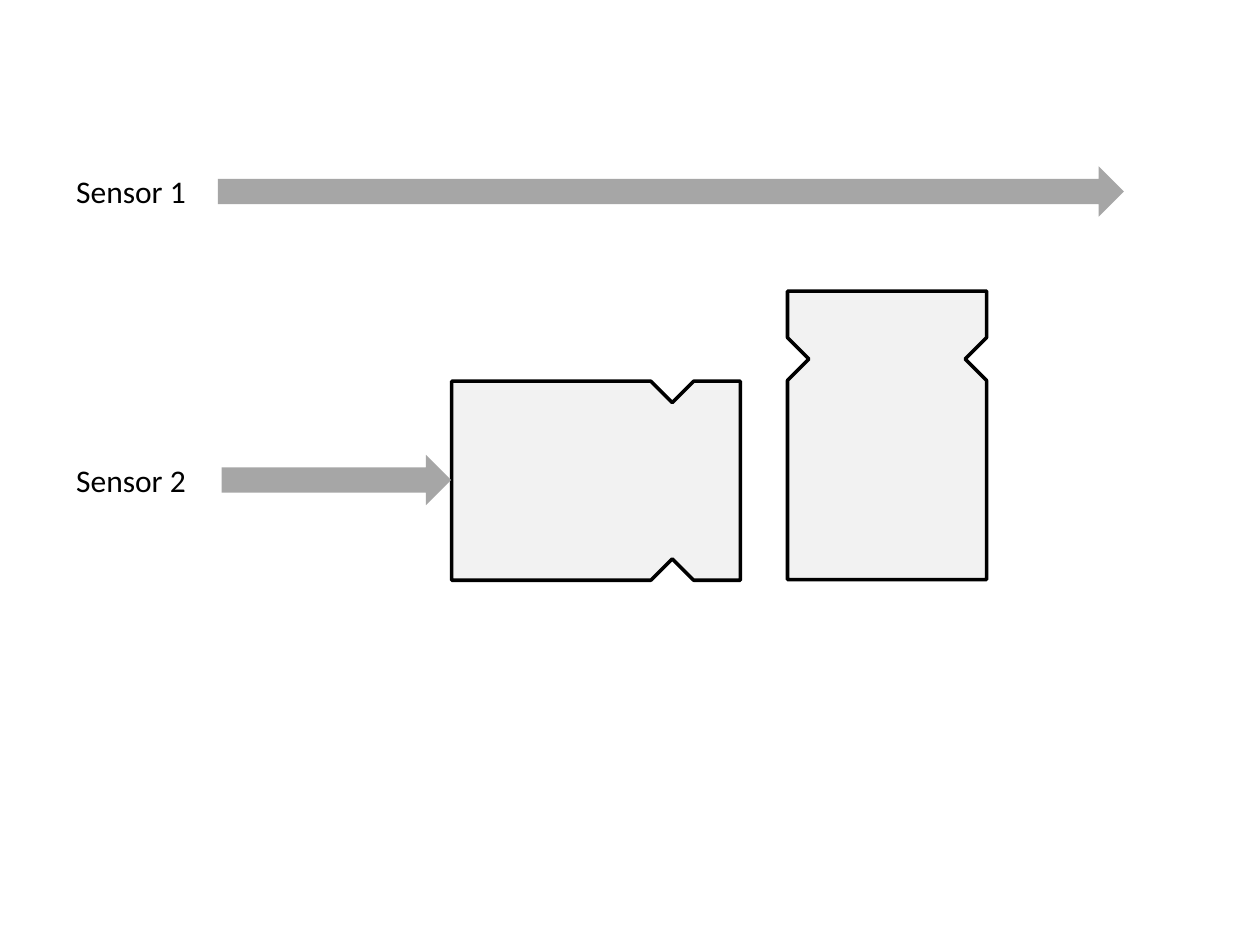
from dataclasses import dataclass

from pptx import Presentation
from pptx.dml.color import RGBColor
from pptx.enum.shapes import MSO_SHAPE
from pptx.enum.text import MSO_AUTO_SIZE, PP_ALIGN
from pptx.util import Inches, Pt

ARROW = MSO_SHAPE.RIGHT_ARROW
CENTER = PP_ALIGN.CENTER
GROW = MSO_AUTO_SIZE.SHAPE_TO_FIT_TEXT


@dataclass(frozen=True)
class Theme:
    font: str = "Calibri"
    size: int = 18
    ink: str = "000000"
    beam: str = "A6A6A6"
    body: str = "F2F2F2"
    edge: int = 2


THEME = Theme()


def color(code):
    return RGBColor.from_string(code)


def write(frame, text, size=THEME.size, ink=THEME.ink, align=CENTER):
    para = frame.paragraphs[0]
    para.alignment = align
    run = para.add_run()
    run.text = text
    run.font.name = THEME.font
    run.font.size = Pt(size)
    run.font.color.rgb = color(ink)


def sensor(slide, text, left, top, start, reach):
    """Label at left, top; its beam begins at start and is reach long."""
    high = 0.4
    label = slide.shapes.add_textbox(
        Inches(left), Inches(top), Inches(1.08), Inches(high))
    label.text_frame.word_wrap = False
    label.text_frame.auto_size = GROW
    write(label.text_frame, text)

    beam = slide.shapes.add_shape(
        ARROW, Inches(start), Inches(top), Inches(reach), Inches(high))
    beam.shadow.inherit = False
    beam.fill.solid()
    beam.fill.fore_color.rgb = color(THEME.beam)
    beam.line.fill.background()


def bottle(slide, left, top, turn=0):
    """Upright box with a notch in each side, turned about its centre."""
    wide, high = 1.58, 2.29
    neck, notch = 0.37, 0.17
    side = [(0, 0), (0, neck), (notch, neck + notch),
            (0, neck + 2 * notch), (0, high)]
    points = side + [(wide - x, y) for x, y in reversed(side)]
    points = [(Inches(left + x), Inches(top + y)) for x, y in points]

    pen = slide.shapes.build_freeform(*points[0])
    pen.add_line_segments(points[1:], close=True)
    shape = pen.convert_to_shape()
    shape.rotation = turn
    shape.shadow.inherit = False
    shape.fill.solid()
    shape.fill.fore_color.rgb = color(THEME.body)
    shape.line.color.rgb = color(THEME.ink)
    shape.line.width = Pt(THEME.edge)


deck = Presentation()
deck.slide_width, deck.slide_height = Inches(10), Inches(7.5)
slide = deck.slides.add_slide(deck.slide_layouts[6])

# Standing and lying bottles
bottle(slide, 6.25, 2.31)
bottle(slide, 3.94, 2.67, turn=90)

# Sensors: the upper beam passes, the lower one is blocked
sensor(slide, "Sensor 1", 0.5, 1.32, start=1.73, reach=7.19)
sensor(slide, "Sensor 2", 0.5, 3.61, start=1.76, reach=1.82)

deck.save("out.pptx")
